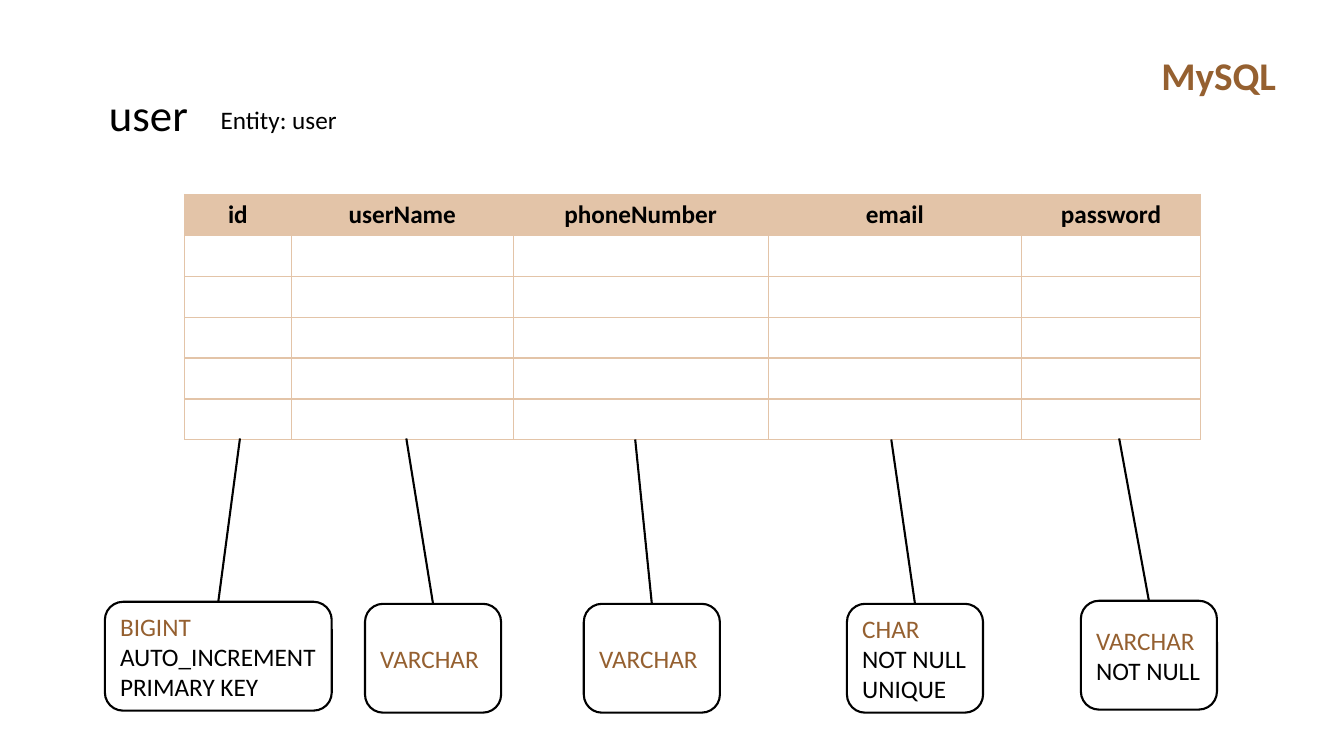
from dataclasses import dataclass

from lxml.etree import SubElement
from pptx import Presentation
from pptx.dml.color import RGBColor
from pptx.enum.shapes import MSO_CONNECTOR as Connector, MSO_SHAPE as Shape
from pptx.enum.text import MSO_ANCHOR as Anchor, MSO_AUTO_SIZE as AutoSize, PP_ALIGN as Align
from pptx.oxml.ns import qn
from pptx.util import Inches, Pt


@dataclass(frozen=True)
class Theme:
    font: str = "Calibri"
    ink: str = "000000"
    accent: str = "956030"
    sand: str = "E3C4A8"
    title: int = 32
    brand: int = 28
    body: int = 18
    outline: float = 1.5
    border: float = 1


@dataclass(frozen=True)
class Column:
    name: str
    width: float
    constraints: tuple
    box: tuple
    line_start: tuple


COLUMNS = (
    Column("id", 1.06, ("BIGINT", "AUTO_INCREMENT", "PRIMARY KEY"), (1.04, 5.97, 2.25), (2.38, 4.35)),
    Column("userName", 2.2, ("VARCHAR",), (3.62, 5.99, 1.35), (4.03, 4.35)),
    Column("phoneNumber", 2.53, ("VARCHAR",), (5.79, 5.99, 1.35), (6.3, 4.36)),
    Column("email", 2.51, ("CHAR", "NOT NULL", "UNIQUE"), (8.4, 5.99, 1.35), (8.84, 4.36)),
    Column("password", 1.78, ("VARCHAR", "NOT NULL"), (10.72, 5.96, 1.35), (11.1, 4.35)),
)
TABLE_ROWS = 6
TABLE_HEIGHT = 2.43
BOX_HEIGHT = 1.08


class EntitySlide:
    def __init__(self, slide, theme):
        self.slide = slide
        self.theme = theme

    def add_text(self, para, text, size, color, bold=False, align=Align.LEFT):
        para.alignment = align
        span = para.add_run()
        span.text = text
        values = {"name": self.theme.font, "size": Pt(size), "bold": bold}
        for key, value in values.items():
            setattr(span.font, key, value)
        span.font.color.rgb = RGBColor.from_string(color)

    def title(self, text, place):
        box = self.slide.shapes.title
        for key, value in zip(("left", "top", "width", "height"), place):
            setattr(box, key, Inches(value))
        frame = box.text_frame
        values = {"vertical_anchor": Anchor.TOP, "auto_size": AutoSize.NONE, "word_wrap": True}
        for key, value in values.items():
            setattr(frame, key, value)
        self.add_text(frame.paragraphs[0], text, self.theme.title, self.theme.ink)

    def label(self, text, place, size, color, bold=False):
        box = self.slide.shapes.add_textbox(*map(Inches, place))
        box.text_frame.word_wrap = True
        self.add_text(box.text_frame.paragraphs[0], text, size, color, bold)

    def border(self, cell):
        properties = cell._tc.get_or_add_tcPr()
        for side in ("a:lnL", "a:lnR", "a:lnT", "a:lnB"):
            line = SubElement(properties, qn(side), w=str(Pt(self.theme.border)))
            fill = SubElement(line, qn("a:solidFill"))
            SubElement(fill, qn("a:srgbClr"), val=self.theme.sand)

    def table(self, columns, left, top):
        width = sum(column.width for column in columns)
        place = map(Inches, (left, top, width, TABLE_HEIGHT))
        table = self.slide.shapes.add_table(TABLE_ROWS, len(columns), *place).table
        table.horz_banding = False
        for index, column in enumerate(columns):
            table.columns[index].width = Inches(column.width)
        for cell in table.iter_cells():
            self.border(cell)
            cell.fill.background()
        for cell, column in zip(table.rows[0].cells, columns):
            cell.fill.solid()
            cell.fill.fore_color.rgb = RGBColor.from_string(self.theme.sand)
            para = cell.text_frame.paragraphs[0]
            self.add_text(para, column.name, self.theme.body, self.theme.ink, True, Align.CENTER)

    def outline(self, shape):
        shape.line.color.rgb = RGBColor.from_string(self.theme.ink)
        shape.line.width = Pt(self.theme.outline)

    def constraint_box(self, column):
        place = map(Inches, (*column.box, BOX_HEIGHT))
        box = self.slide.shapes.add_shape(Shape.ROUNDED_RECTANGLE, *place)
        box.shadow.inherit = False
        box.fill.background()
        self.outline(box)
        frame = box.text_frame
        values = {"word_wrap": True, "vertical_anchor": Anchor.MIDDLE, "margin_right": Inches(0.05)}
        for key, value in values.items():
            setattr(frame, key, value)
        for index, text in enumerate(column.constraints):
            para = frame.add_paragraph() if index else frame.paragraphs[0]
            color = self.theme.ink if index else self.theme.accent
            self.add_text(para, text, self.theme.body, color)
        return box

    def connect(self, start, box):
        x, y = map(Inches, start)
        line = self.slide.shapes.add_connector(Connector.STRAIGHT, x, y, x, y)
        line.end_connect(box, 0)
        self.outline(line)
        SubElement(line._element.spPr, qn("a:effectLst"))


def main():
    deck = Presentation()
    deck.slide_width, deck.slide_height = Inches(13.33), Inches(7.5)
    theme = Theme()
    page = EntitySlide(deck.slides.add_slide(deck.slide_layouts[5]), theme)
    page.table(COLUMNS, 1.83, 1.93)
    page.title("user", (0.98, 0.81, 1.53, 0.64))
    for column in COLUMNS:
        page.connect(column.line_start, page.constraint_box(column))
    page.label("MySQL", (11.42, 0.46, 1.87, 0.57), theme.brand, theme.accent, True)
    page.label("Entity: user", (2.09, 0.99, 1.64, 0.4), theme.body, theme.ink)
    deck.save("out.pptx")


if __name__ == "__main__":
    main()
